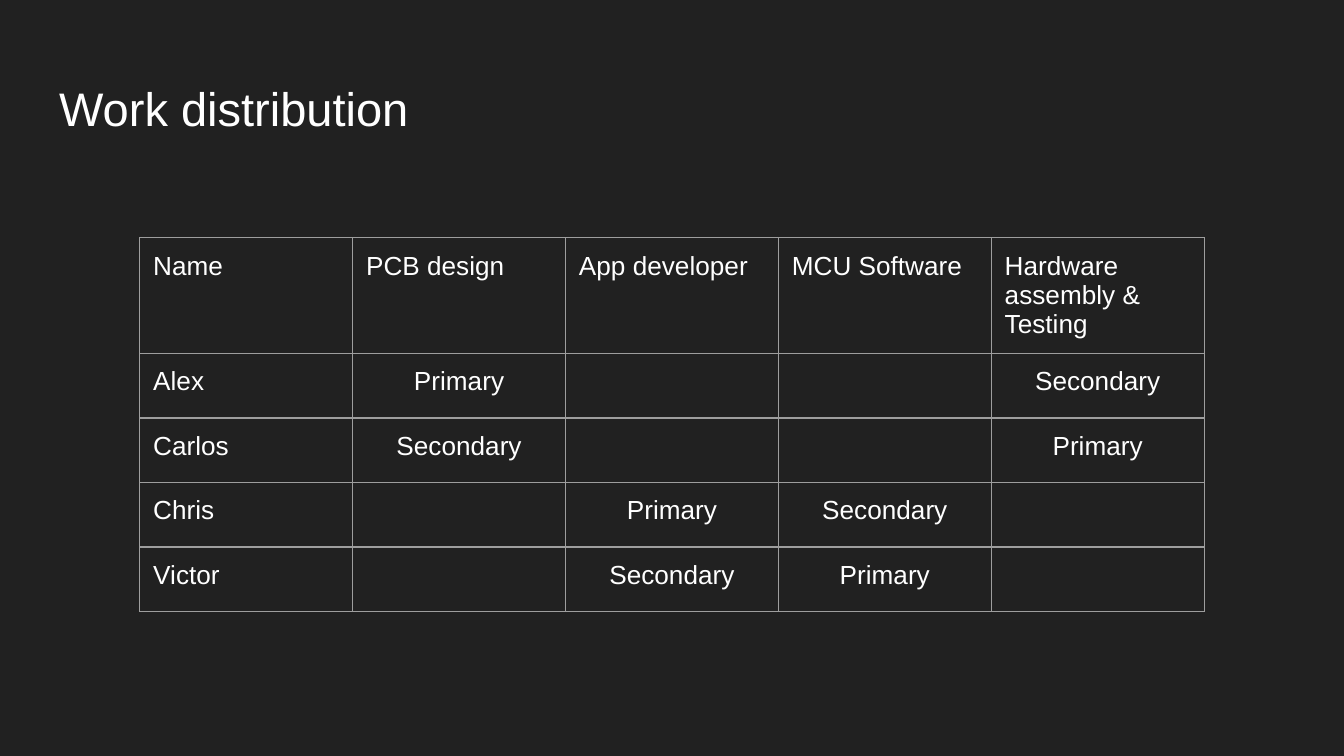
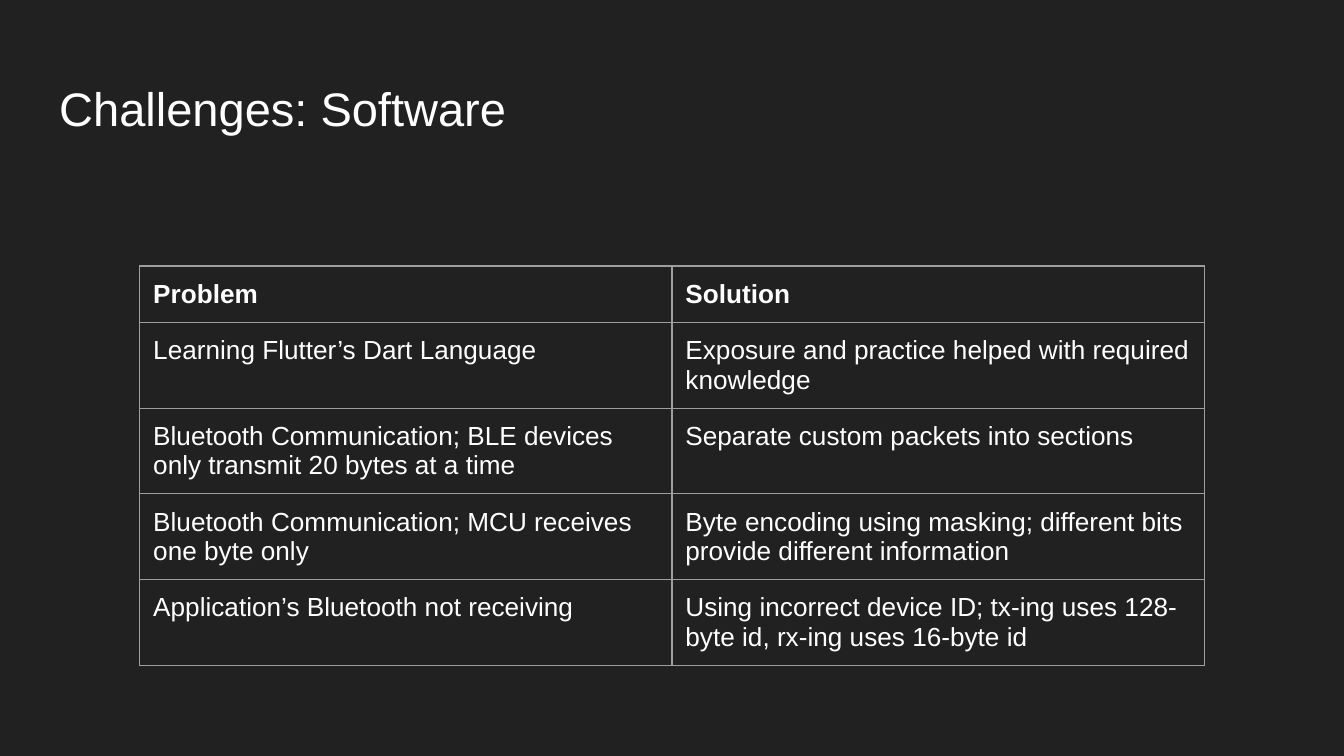
import pptx
import pptx.util
import pptx.dml.color
import pptx.enum.text
import lxml.etree

SLIDES = [
    {
        "title": "Work distribution",
        "top": 1.77,
        "heights": [0.86, 0.48, 0.48, 0.48, 0.48],
        "bold": False,
        "centre": True,
        "rows": [
            ["Name", "PCB design", "App developer", "MCU Software",
             "Hardware assembly & Testing"],
            ["Alex", "Primary", "", "", "Secondary"],
            ["Carlos", "Secondary", "", "", "Primary"],
            ["Chris", "", "Primary", "Secondary", ""],
            ["Victor", "", "Secondary", "Primary", ""],
        ],
    },
    {
        "title": "Challenges: Software",
        "top": 1.98,
        "heights": [0.42, 0.63, 0.63, 0.63, 0.63],
        "bold": True,
        "centre": False,
        "rows": [
            ["Problem", "Solution"],
            ["Learning Flutter’s Dart Language",
             "Exposure and practice helped with required knowledge"],
            ["Bluetooth Communication; BLE devices only transmit 20 bytes at a time",
             "Separate custom packets into sections"],
            ["Bluetooth Communication; MCU receives one byte only",
             "Byte encoding using masking; different bits provide different information"],
            ["Application’s Bluetooth not receiving",
             "Using incorrect device ID; tx-ing uses 128-byte id, rx-ing uses 16-byte id"],
        ],
    },
]

COLORS = {"back": "212121", "text": "FFFFFF", "line": "9E9E9E"}
WIDE = 10
HIGH = WIDE * 9 / 16
TITLE = {"left": 0.34, "top": 0.49, "width": 9.32, "height": 0.63}
TABLE_LEFT, TABLE_WIDE = 1.04, 7.92
SIDES = ("left", "top", "right", "bottom")
INSET = 0.1

inch = pptx.util.Inches
Align = pptx.enum.text.PP_ALIGN
NS = "http://schemas.openxmlformats.org/drawingml/2006/main"


def rgb(name):
    return pptx.dml.color.RGBColor.from_string(COLORS[name])


def style(para, size, bold=False, align=Align.LEFT):
    para.alignment = align
    for run in para.runs:
        form = {"name": "Arial", "size": pptx.util.Pt(size), "bold": bold}
        for key, value in form.items():
            setattr(run.font, key, value)
        run.font.color.rgb = rgb("text")


def pad(item):
    for side in SIDES:
        setattr(item, f"margin_{side}", inch(INSET))


def border(cell):
    props = cell._tc.get_or_add_tcPr()
    for side in "LRTB":
        line = lxml.etree.SubElement(
            props, f"{{{NS}}}ln{side}", w=str(int(pptx.util.Pt(0.75))))
        fill = lxml.etree.SubElement(line, f"{{{NS}}}solidFill")
        lxml.etree.SubElement(fill, f"{{{NS}}}srgbClr", val=COLORS["line"])


def add_title(slide, text):
    title = slide.shapes.title
    for key, value in TITLE.items():
        setattr(title, key, inch(value))
    frame = title.text_frame
    frame.text = text
    frame.auto_size = pptx.enum.text.MSO_AUTO_SIZE.NONE
    frame.vertical_anchor = pptx.enum.text.MSO_ANCHOR.MIDDLE
    pad(frame)
    style(frame.paragraphs[0], 25.2)


def add_grid(slide, data):
    rows, heights = data["rows"], data["heights"]
    count = len(rows[0])
    table = slide.shapes.add_table(
        len(rows), count, inch(TABLE_LEFT), inch(data["top"]),
        inch(TABLE_WIDE), inch(sum(heights))).table
    table.first_row = table.horz_banding = False
    for col in table.columns:
        col.width = inch(TABLE_WIDE / count)
    for r, (words, height) in enumerate(zip(rows, heights)):
        table.rows[r].height = inch(height)
        for c, word in enumerate(words):
            cell = table.cell(r, c)
            border(cell)
            cell.fill.background()
            if not word:
                continue
            cell.text = word
            pad(cell)
            mid = data["centre"] and r > 0 and c > 0
            style(cell.text_frame.paragraphs[0], 14,
                  bold=data["bold"] and r == 0,
                  align=Align.CENTER if mid else Align.LEFT)


def main():
    deck = pptx.Presentation()
    deck.slide_width, deck.slide_height = inch(WIDE), inch(HIGH)
    back = deck.slide_master.background.fill
    back.solid()
    back.fore_color.rgb = rgb("back")
    for data in SLIDES:
        slide = deck.slides.add_slide(deck.slide_layouts[5])
        add_title(slide, data["title"])
        add_grid(slide, data)
    deck.save("out.pptx")


if __name__ == "__main__":
    main()
